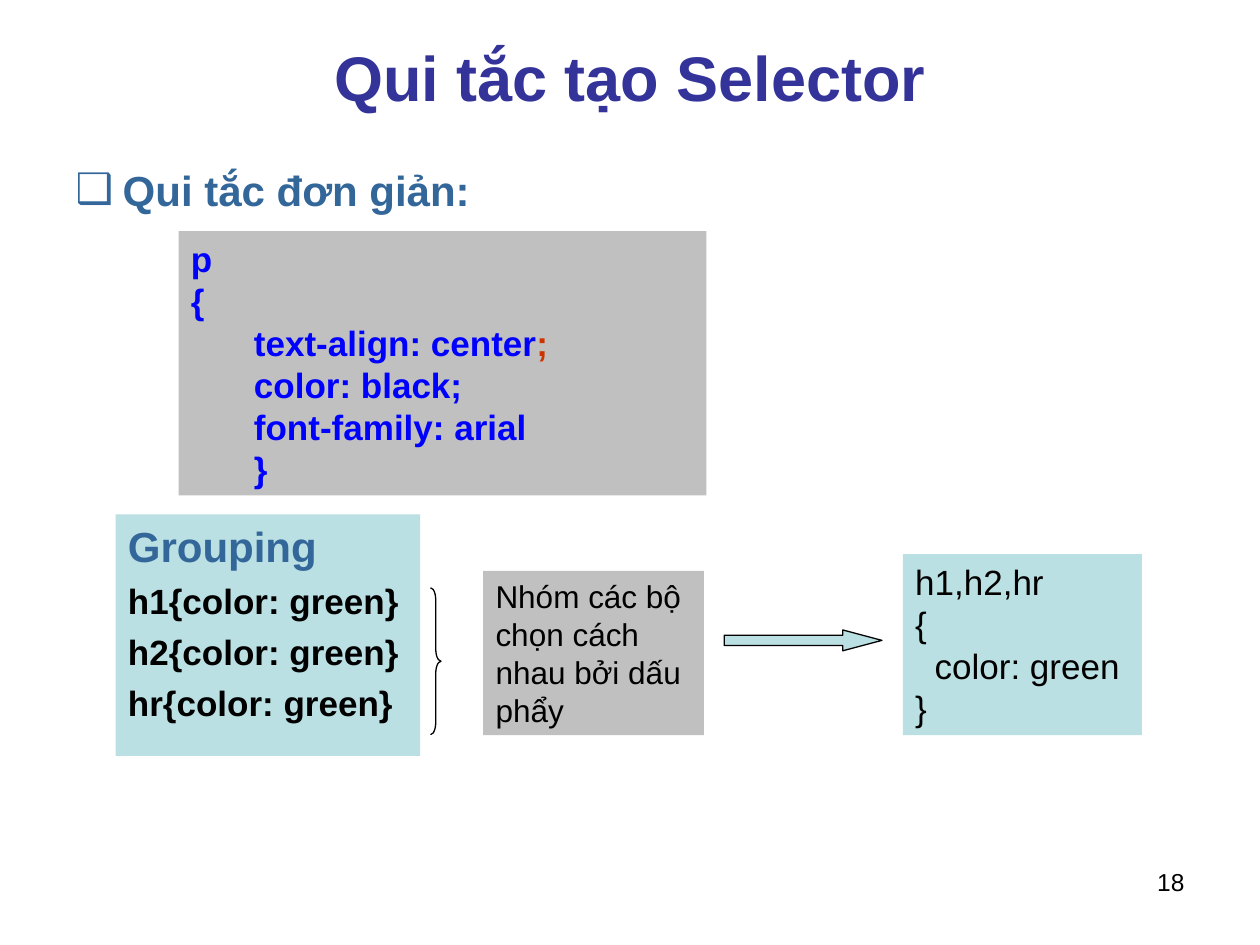
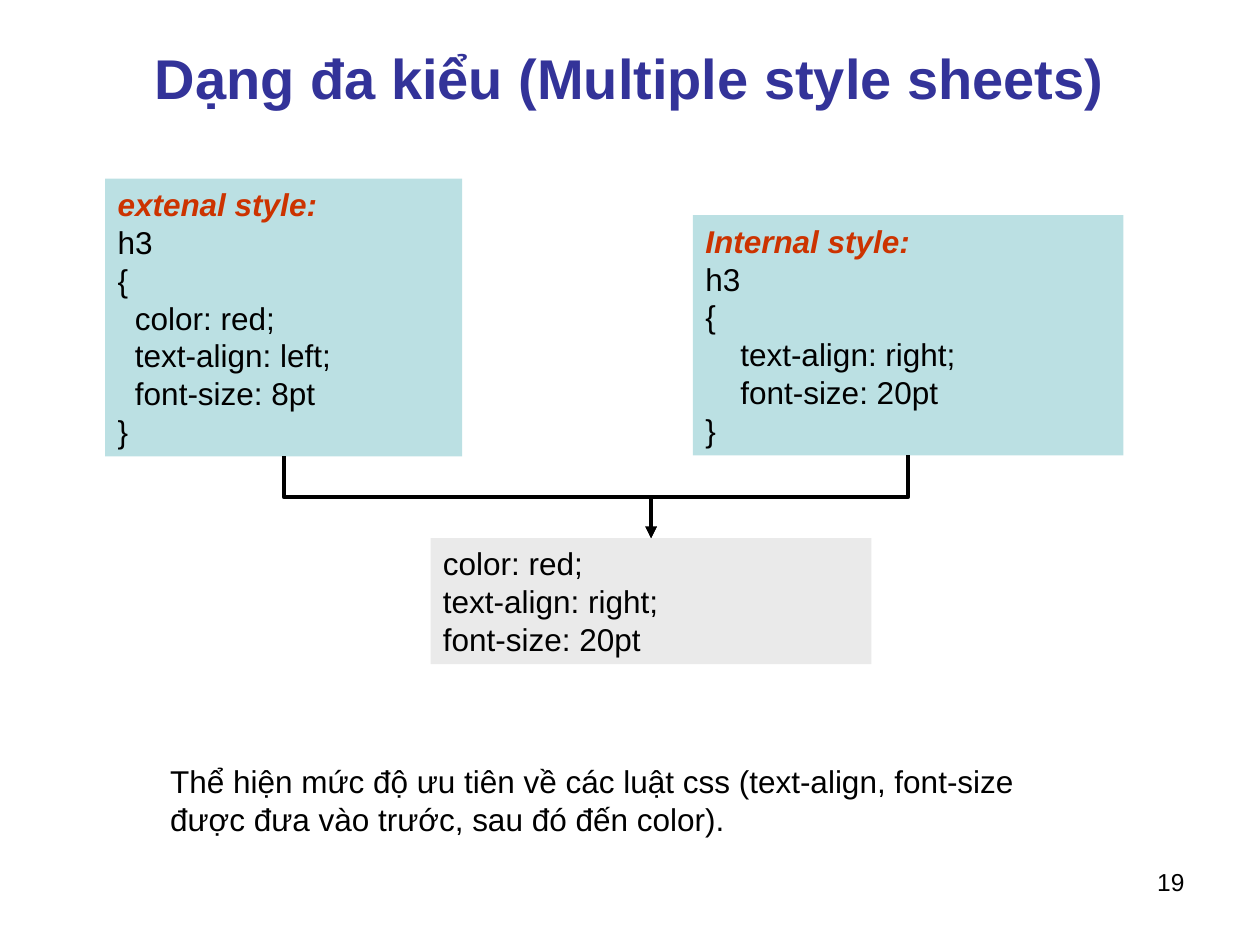
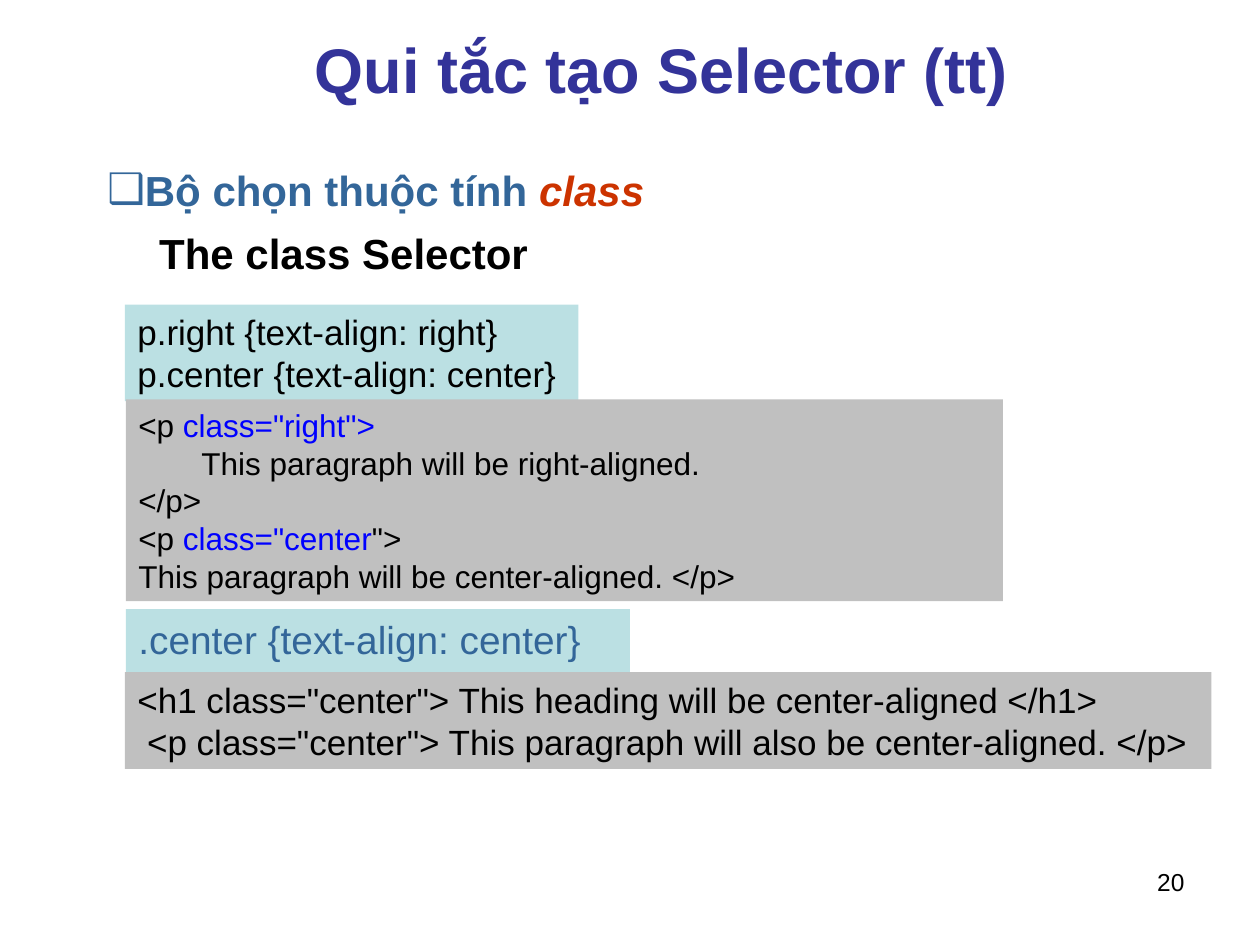
from lxml import etree
from pptx import Presentation
from pptx.dml.color import RGBColor
from pptx.enum.shapes import MSO_CONNECTOR, MSO_SHAPE
from pptx.enum.text import MSO_ANCHOR, MSO_AUTO_SIZE, PP_ALIGN
from pptx.oxml.ns import qn
from pptx.util import Cm, Pt

RECTANGLE = MSO_SHAPE.RECTANGLE
RIGHT_ARROW = MSO_SHAPE.RIGHT_ARROW
RIGHT_BRACE = MSO_SHAPE.RIGHT_BRACE
ELBOW = MSO_CONNECTOR.ELBOW
TOP, MIDDLE = MSO_ANCHOR.TOP, MSO_ANCHOR.MIDDLE
LEFT, CENTER, RIGHT = PP_ALIGN.LEFT, PP_ALIGN.CENTER, PP_ALIGN.RIGHT
NO_AUTOFIT = MSO_AUTO_SIZE.NONE

FONT = "Arial"
NAVY, STEEL, BLUE, RED = "333399", "336699", "0000FF", "CC3300"
TEAL, GRAY, LIGHT_GRAY, BLACK = "BBE0E3", "C0C0C0", "EAEAEA", "000000"
TITLE_AND_CONTENT, TITLE_ONLY = 1, 5
FIRST_NUMBER = 18

TITLE_BOX = (1.27, 0.76, 22.86, 1.57)
NUMBER_BOX = (18.21, 17.35, 5.92, 1.32)
HEADING = {"size": 24, "bold": True, "color": STEEL}
STYLE_NAME = {"color": RED, "bold": True, "italic": True}


def color(hex_code):
    return RGBColor.from_string(hex_code)


def lengths(box):
    return [Cm(value) for value in box]


def shift(origin, box):
    """Move a box given relative to an origin onto the slide."""
    return (origin[0] + box[0], origin[1] + box[1], *box[2:])


def format_font(font, values):
    values = {"name": FONT, "size": 18, "bold": False, "italic": False,
              "color": BLACK, **values}
    font.color.rgb = color(values.pop("color"))
    font.size = Pt(values.pop("size"))
    for name, value in values.items():
        setattr(font, name, value)


def write(shape, paragraphs, font, anchor=TOP, align=LEFT, wrap=True):
    """Write paragraphs, each a string or a list of (text, font changes)."""
    frame = shape.text_frame
    settings = {"auto_size": NO_AUTOFIT, "word_wrap": wrap, "vertical_anchor": anchor}
    for name, value in settings.items():
        setattr(frame, name, value)
    for index, runs in enumerate(paragraphs):
        paragraph = frame.add_paragraph() if index else frame.paragraphs[0]
        paragraph.alignment = align
        paragraph.space_before = Pt(0)
        for text, changes in [(runs, {})] if isinstance(runs, str) else runs:
            run = paragraph.add_run()
            run.text = text
            format_font(run.font, {**font, **changes})
    return frame


def indent(paragraph, margin, first_line=0):
    properties = paragraph._p.get_or_add_pPr()
    properties.set("marL", str(Cm(margin)))
    properties.set("indent", str(Cm(first_line)))
    return properties


def add_bullet(paragraph, hanging):
    properties = indent(paragraph, hanging, -hanging)
    bullet_color = etree.SubElement(properties, qn("a:buClr"))
    etree.SubElement(bullet_color, qn("a:srgbClr"), val=STEEL)
    etree.SubElement(properties, qn("a:buFont"), typeface=FONT)
    etree.SubElement(properties, qn("a:buChar"), char="❑")


def add_text(slide, box, paragraphs, font, **layout):
    return write(slide.shapes.add_textbox(*lengths(box)), paragraphs, font, **layout)


def add_preset(slide, preset, box, fill=None, outlined=False):
    shape = slide.shapes.add_shape(preset, *lengths(box))
    shape.shadow.inherit = False
    if fill:
        shape.fill.solid()
        shape.fill.fore_color.rgb = color(fill)
    else:
        shape.fill.background()
    if outlined:
        shape.line.color.rgb = color(BLACK)
        shape.line.width = Pt(0.75)
    else:
        shape.line.fill.background()
    return shape


def add_panel(slide, box, fill, paragraphs, font, anchor=MIDDLE, wrap=True):
    panel = add_preset(slide, RECTANGLE, box, fill)
    write(panel, paragraphs, font, anchor, wrap=wrap)
    return panel


def add_elbow(slide, source, target, head):
    """Join the bottom of one panel to the top of another, leaving downwards."""
    start_x, start_y = source.left + source.width // 2, source.top + source.height
    end_x, end_y = target.left + target.width // 2, target.top
    center_x, center_y = (start_x + end_x) // 2, (start_y + end_y) // 2
    half_drop, half_run = (end_y - start_y) // 2, abs(end_x - start_x) // 2
    side = 1 if end_x > start_x else -1
    connector = slide.shapes.add_connector(
        ELBOW, center_x + side * half_drop, center_y - half_run,
        center_x - side * half_drop, center_y + half_run)
    connector.line.color.rgb = color(BLACK)
    connector.line.width = Pt(2.25)
    properties = connector._element.spPr
    properties.find(qn("a:xfrm")).set("rot", str((270 if side > 0 else 90) * 60000))
    etree.SubElement(properties.find(qn("a:ln")), qn("a:tailEnd"), type=head)
    etree.SubElement(properties, qn("a:effectLst"))


def add_slide(presentation, layout, title, size=36, title_box=TITLE_BOX):
    slide = presentation.slides.add_slide(presentation.slide_layouts[layout])
    place(slide.shapes.title, title_box)
    write(slide.shapes.title, [title], {"size": size, "bold": True, "color": NAVY},
          MIDDLE, CENTER)
    number = FIRST_NUMBER + len(presentation.slides) - 1
    add_text(slide, NUMBER_BOX, [str(number)], {"size": 14}, align=RIGHT)
    return slide


def place(shape, box):
    for name, value in zip(("left", "top", "width", "height"), lengths(box)):
        setattr(shape, name, value)


def fill_body(slide, box, runs, hanging):
    body = slide.placeholders[1]
    place(body, box)
    frame = write(body, [runs], HEADING)
    add_bullet(frame.paragraphs[0], hanging)


def add_simple_rule(slide, box):
    lines = ["p", "{", [("text-align: center", {}), (";", {"color": RED})],
             "color: black;", "font-family: arial", "}"]
    panel = add_panel(slide, box, GRAY, lines, {"size": 20, "bold": True, "color": BLUE})
    for paragraph in panel.text_frame.paragraphs[2:]:
        indent(paragraph, 1.27)


def add_grouping(slide, origin):
    """Separate rules, a brace, the explanation and the grouped rule."""
    rules = [[("Grouping", HEADING)]]
    rules += [f"{tag}{{color: green}}" for tag in ("h1", "h2", "hr")]
    panel = add_panel(slide, shift(origin, (0, 0, 6.14, 4.87)), TEAL, rules,
                      {"size": 20, "bold": True}, TOP)
    for paragraph in panel.text_frame.paragraphs[1:]:
        paragraph.space_before = Pt(5)
    add_panel(slide, shift(origin, (15.87, 0.8, 4.82, 3.65)), TEAL,
              ["h1,h2,hr", "{", "  color: green", "}"], {"size": 20}, wrap=False)
    arrow = add_preset(slide, RIGHT_ARROW, shift(origin, (12.27, 2.33, 3.18, 0.42)),
                       TEAL, outlined=True)
    arrow.adjustments[1] = 1.88
    add_panel(slide, shift(origin, (7.41, 1.14, 4.45, 3.31)), GRAY,
              ["Nhóm các bộ chọn cách nhau bởi dấu phẩy"], {}, TOP)
    brace = add_preset(slide, RIGHT_BRACE, shift(origin, (6.35, 1.48, 0.21, 2.96)),
                       outlined=True)
    brace.adjustments[0] = 1.17


def add_style_merge(slide, origin):
    """Two style sheets that flow into the resulting style."""
    external = add_panel(
        slide, shift(origin, (0, 0, 7.2, 5.6)), TEAL,
        [[("extenal style:", STYLE_NAME)], "h3", "{", "  color: red;",
         "  text-align: left;", "  font-size: 8pt", "}"], {})
    internal = add_panel(
        slide, shift(origin, (11.85, 0.74, 8.68, 4.84)), TEAL,
        [[("Internal style:", STYLE_NAME)], "h3", "{", "    text-align: right;",
         "    font-size: 20pt", "}"], {})
    result = add_panel(slide, shift(origin, (6.56, 7.25, 8.89, 2.54)), LIGHT_GRAY,
                       ["color: red;", "text-align: right;", "font-size: 20pt"], {})
    add_elbow(slide, external, result, "triangle")
    add_elbow(slide, internal, result, "stealth")


def add_class_examples(slide, origin):
    """Style rules, each followed by the markup that uses them."""
    blue = {"color": BLUE}
    add_panel(slide, shift(origin, (0, 0, 9.14, 1.95)), TEAL,
              ["p.right {text-align: right}", "p.center {text-align: center}"],
              {"size": 20}, wrap=False)
    add_panel(slide, shift(origin, (0.02, 1.91, 17.68, 4.07)), GRAY,
              [[("<p ", {}), ('class="right">', blue)],
               "\tThis paragraph will be right-aligned.",
               "</p>",
               [("<p ", {}), ('class="center', blue), ('">', {})],
               "This paragraph will be center-aligned. </p>"], {})
    add_panel(slide, shift(origin, (0.02, 6.14, 10.16, 1.27)), TEAL,
              [".center {text-align: center}"], {"size": 22.2, "color": STEEL}, TOP)
    add_panel(slide, shift(origin, (0, 7.41, 21.9, 1.95)), GRAY,
              ['<h1 class="center"> This heading will be center-aligned </h1>',
               ' <p class="center"> This paragraph will also be center-aligned. </p>'],
              {"size": 20}, wrap=False)


def build_selector_rules(presentation):
    slide = add_slide(presentation, TITLE_AND_CONTENT, "Qui tắc tạo Selector")
    fill_body(slide, (1.27, 3.18, 22.86, 13.84), "Qui tắc đơn giản:", 0.95)
    add_simple_rule(slide, (3.6, 4.66, 10.64, 5.33))
    add_grouping(slide, (2.33, 10.37))


def build_multiple_styles(presentation):
    slide = add_slide(presentation, TITLE_ONLY, "Dạng đa kiểu (Multiple style sheets)", 32)
    add_style_merge(slide, (2.12, 3.6))
    add_text(slide, (3.18, 15.24, 17.99, 1.78),
             ["Thể hiện mức độ ưu tiên về các luật css (text-align, font-size "
              "được đưa vào trước, sau đó đến color)."], {})


def build_class_selector(presentation):
    slide = add_slide(presentation, TITLE_AND_CONTENT, "Qui tắc tạo Selector (tt)",
                      title_box=(2.54, 0.64, 21.59, 1.48))
    fill_body(slide, (1.91, 3.18, 19.69, 12.49),
              [("Bộ chọn thuộc tính ", {}), ("class", {"color": RED, "italic": True})], 0)
    add_text(slide, (2.96, 4.45, 7.95, 1.27), ["The class Selector"],
             {"size": 24, "bold": True}, anchor=MIDDLE, wrap=False)
    add_class_examples(slide, (2.52, 6.14))


def main():
    presentation = Presentation()
    presentation.slide_width, presentation.slide_height = Cm(25.4), Cm(19.05)
    build_selector_rules(presentation)
    build_multiple_styles(presentation)
    build_class_selector(presentation)
    presentation.save("out.pptx")


if __name__ == "__main__":
    main()
